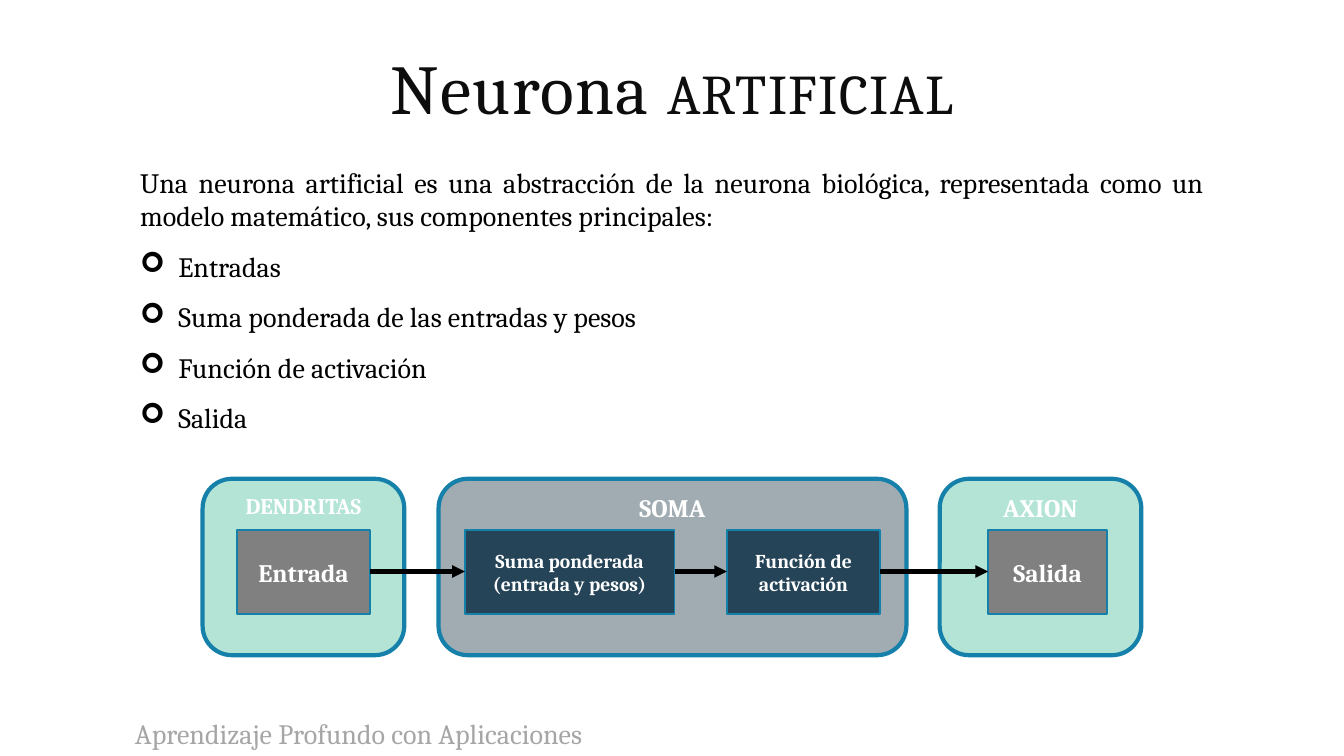
from lxml.etree import SubElement
from pptx import Presentation
from pptx.dml.color import RGBColor
from pptx.enum.shapes import MSO_CONNECTOR as CONN, MSO_SHAPE as SHAPE
from pptx.enum.text import MSO_ANCHOR as ANCHOR, MSO_AUTO_SIZE as AUTO, PP_ALIGN as ALIGN
from pptx.oxml.ns import qn
from pptx.util import Inches, Pt

MINT, GREY, NAVY, SILVER = "B3E4D6", "808080", "264457", "A1ACB2"
BLUE, WHITE, BLACK = "1580A9", "FFFFFF", "000000"


def rgb(value):
    return RGBColor.from_string(value)


class NeuronSlide:
    font = "Cambria"

    def __init__(self, prs):
        self.s = prs.slides.add_slide(prs.slide_layouts[5])

    def style(self, p, size, color, bold=False, align=ALIGN.LEFT):
        p.alignment = align
        for r in p.runs:
            f = r.font
            f.name, f.size, f.bold = self.font, Pt(size), bold
            f.color.rgb = rgb(color)

    def title(self, parts, box):
        """Write (text, size) parts on one line of the title placeholder."""
        sp = self.s.shapes.title
        sp.left, sp.top, sp.width, sp.height = map(Inches, box)
        tf = sp.text_frame
        tf.auto_size, tf.vertical_anchor = AUTO.NONE, ANCHOR.TOP
        p = tf.paragraphs[0]
        p.line_spacing = 0.8
        for text, _ in parts:
            p.add_run().text = text
        self.style(p, 50, "0D0D0D", align=ALIGN.CENTER)
        for r, (_, size) in zip(p.runs, parts):
            r.font.size = Pt(size)
            r._r.get_or_add_rPr().set("spc", "100")

    def textbox(self, text, box, color):
        tf = self.s.shapes.add_textbox(*map(Inches, box)).text_frame
        tf.word_wrap = True
        tf.text = text
        self.style(tf.paragraphs[0], 20, color)
        return tf

    def bullets(self, tf, items):
        for item in items:
            p = tf.add_paragraph()
            p.text = item
            p.line_spacing = 1.5
            pPr = p._p.get_or_add_pPr()
            pPr.set("marL", str(Inches(0.38)))
            pPr.set("indent", str(Inches(-0.38)))
            SubElement(pPr, qn("a:buFont"), typeface="Wingdings")
            SubElement(pPr, qn("a:buChar"), char="➢")
            self.style(p, 20, BLACK, align=ALIGN.JUSTIFY)

    def shape(self, kind, text, box, fill, size, line, anchor):
        sp = self.s.shapes.add_shape(kind, *map(Inches, box))
        sp.shadow.inherit = False
        sp.fill.solid()
        sp.fill.fore_color.rgb = rgb(fill)
        sp.line.color.rgb = rgb(BLUE)
        sp.line.width = Pt(line)
        tf = sp.text_frame
        tf.word_wrap, tf.vertical_anchor = True, anchor
        tf.text = text
        self.style(tf.paragraphs[0], size, WHITE, True, ALIGN.CENTER)

    def region(self, kind, text, left, width, fill, size):
        self.shape(kind, text, (left, 4.75, width, 1.75), fill, size, 3, ANCHOR.TOP)

    def step(self, text, left, width, fill, size):
        self.shape(SHAPE.RECTANGLE, text, (left, 5.26, width, 0.83), fill, size,
                   1.25, ANCHOR.MIDDLE)

    def arrow(self, start, end, y=5.67):
        c = self.s.shapes.add_connector(CONN.STRAIGHT, *map(Inches, (start, y, end, y)))
        c.line.color.rgb = rgb(BLACK)
        c.line.width = Pt(3)
        SubElement(c.line._get_or_add_ln(), qn("a:tailEnd"), type="triangle")
        SubElement(c._element.spPr, qn("a:effectLst"))


def main():
    prs = Presentation()
    prs.slide_width, prs.slide_height = Inches(13.33), Inches(7.5)
    slide = NeuronSlide(prs)

    slide.title([("Neurona ", 50), ("ARTIFICIAL", 40)], (1.29, 0.55, 10.75, 0.63))
    body = slide.textbox(
        "Una neurona artificial es una abstracción de la neurona biológica, "
        "representada como un modelo matemático, sus componentes principales:",
        (1.29, 1.59, 10.75, 2.74), BLACK)
    body.paragraphs[0].alignment = ALIGN.JUSTIFY
    slide.bullets(body, ["Entradas", "Suma ponderada de las entradas y pesos",
                         "Función de activación", "Salida"])

    slide.region(SHAPE.ROUNDED_RECTANGLE, "DENDRITAS", 2.01, 2, MINT, 16)
    slide.region(SHAPE.FLOWCHART_ALTERNATE_PROCESS, "SOMA", 4.35, 4.64, SILVER, 18)
    slide.region(SHAPE.ROUNDED_RECTANGLE, "AXION", 9.32, 2, MINT, 18)

    steps = [("Entrada", 2.35, 1.32, GREY, 18),
             ("Suma ponderada (entrada y pesos)", 4.61, 2.08, NAVY, 14),
             ("Función de activación", 7.21, 1.52, NAVY, 14),
             ("Salida", 9.8, 1.18, GREY, 18)]
    for step in steps:
        slide.step(*step)
    for (_, left, width, *_), (_, following, *_) in zip(steps, steps[1:]):
        slide.arrow(left + width, following)

    slide.textbox("Aprendizaje Profundo con Aplicaciones", (1.24, 7.06, 6.02, 0.44), "A6A6A6")
    prs.save("out.pptx")


if __name__ == "__main__":
    main()
